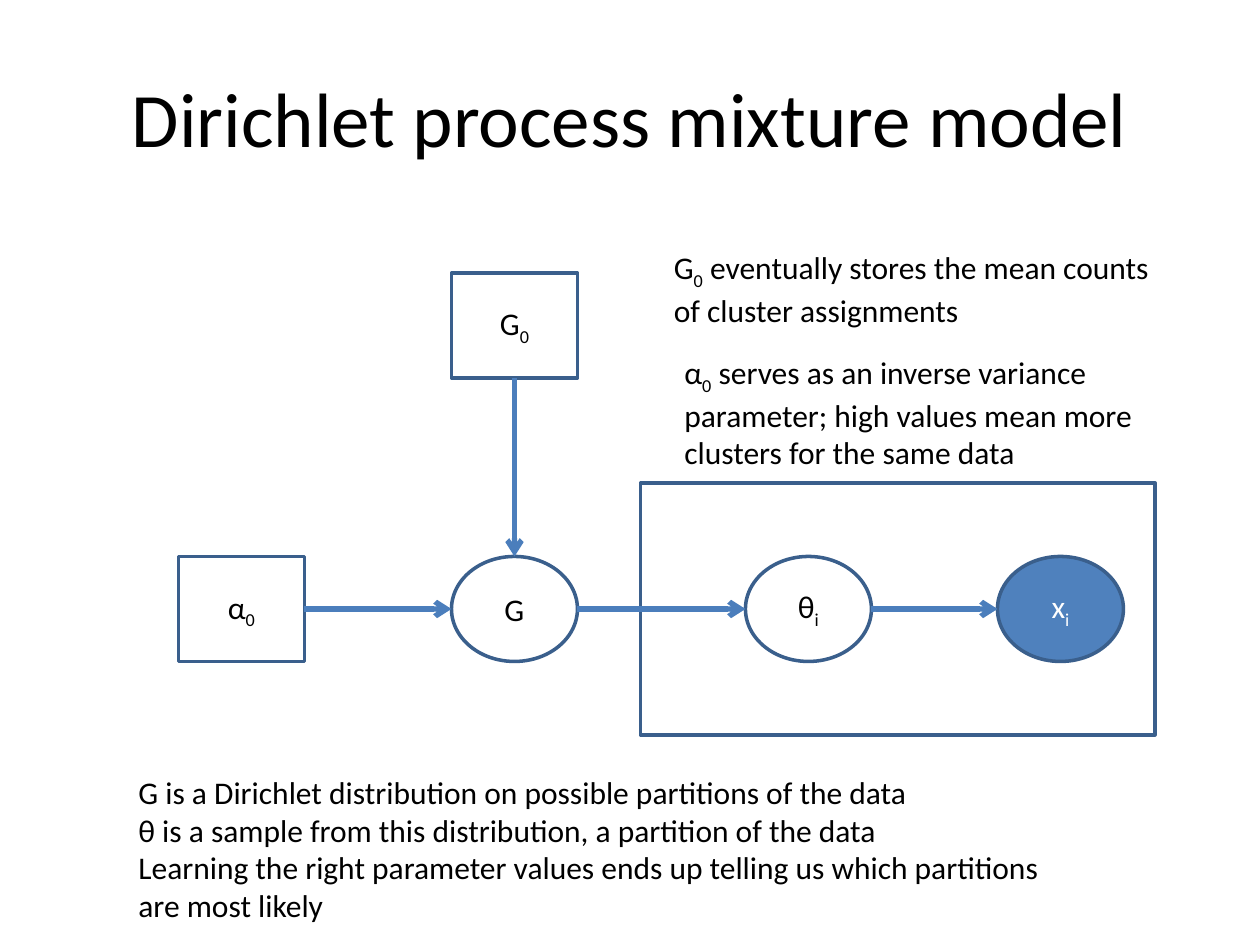
from lxml import etree
from pptx import Presentation
from pptx.dml.color import RGBColor
from pptx.enum.shapes import MSO_CONNECTOR, MSO_SHAPE
from pptx.enum.text import MSO_ANCHOR, PP_ALIGN
from pptx.oxml.ns import qn
from pptx.util import Inches, Pt

RECT, OVAL = MSO_SHAPE.RECTANGLE, MSO_SHAPE.OVAL
STRAIGHT = MSO_CONNECTOR.STRAIGHT
TOP, MIDDLE = MSO_ANCHOR.TOP, MSO_ANCHOR.MIDDLE
LEFT, CENTER = PP_ALIGN.LEFT, PP_ALIGN.CENTER

BLACK = RGBColor(0x00, 0x00, 0x00)
WHITE = RGBColor(0xFF, 0xFF, 0xFF)
BLUE = RGBColor(0x4F, 0x81, 0xBD)
OUTLINE = RGBColor(0x3A, 0x5F, 0x8C)
ARROW = RGBColor(0x4B, 0x7E, 0xBC)

CELLS_PER_INCH = 12  # the slide is a grid of 120 columns by 90 rows
NODE_W, NODE_H = 12, 10
CHAIN_ROW = 53
SIDE_TOP, SIDE_BOTTOM, SIDE_RIGHT = 0, 2, 3


def cells(*counts):
    return [Inches(count / CELLS_PER_INCH) for count in counts]


class Diagram:
    font = "Calibri"

    def __init__(self, slide):
        self.slide = slide

    def set_text(self, shape, paragraphs, size=18, color=BLACK, align=LEFT, anchor=TOP):
        """Each paragraph is a list of runs, every second one a subscript."""
        frame = shape.text_frame
        frame.word_wrap = True
        frame.vertical_anchor = anchor
        for index, runs in enumerate(paragraphs):
            paragraph = frame.add_paragraph() if index else frame.paragraphs[0]
            paragraph.alignment = align
            paragraph.font.name = self.font
            paragraph.font.size = Pt(size)
            paragraph.font.color.rgb = color
            for position, text in enumerate(runs):
                run = paragraph.add_run()
                run.text = text
                if position % 2:
                    run.font._element.set("baseline", "-25000")

    def text(self, box, *paragraphs, **style):
        self.set_text(self.slide.shapes.add_textbox(*cells(*box)), paragraphs, **style)

    def outline(self, kind, box, fill=None):
        shape = self.slide.shapes.add_shape(kind, *cells(*box))
        shape.shadow.inherit = False
        if fill is None:
            shape.fill.background()
        else:
            shape.fill.solid()
            shape.fill.fore_color.rgb = fill
        shape.line.color.rgb = OUTLINE
        shape.line.width = Pt(2)
        return shape

    def node(self, kind, column, row, *runs, fill=None, color=BLACK):
        shape = self.outline(kind, (column, row, NODE_W, NODE_H), fill)
        self.set_text(shape, [runs], color=color, align=CENTER, anchor=MIDDLE)
        return shape

    def arrow(self, start, end):
        link = self.slide.shapes.add_connector(STRAIGHT, *cells(*start, *end))
        link.line.color.rgb = ARROW
        link.line.width = Pt(3)
        properties = link._element.spPr
        etree.SubElement(properties.get_or_add_ln(), qn("a:tailEnd"), type="arrow")
        etree.SubElement(properties, qn("a:effectLst"))
        return link


def main():
    deck = Presentation()
    deck.slide_width, deck.slide_height = cells(120, 90)
    diagram = Diagram(deck.slides.add_slide(deck.slide_layouts[6]))

    # Title
    diagram.text((6, 3.6, 108, 15), ["Dirichlet process mixture model"],
                 size=44, align=CENTER, anchor=MIDDLE)

    # Plate and model variables
    alpha_col, g_col, theta_col, x_col = 17, 43, 71, 95
    base_row = 26
    diagram.outline(RECT, (61, 46, 49, 24))
    diagram.node(OVAL, x_col, CHAIN_ROW, "x", "i", fill=BLUE, color=WHITE)
    diagram.node(OVAL, theta_col, CHAIN_ROW, "θ", "i")
    g = diagram.node(OVAL, g_col, CHAIN_ROW, "G")
    base = diagram.node(RECT, g_col, base_row, "G", "0")
    alpha = diagram.node(RECT, alpha_col, CHAIN_ROW, "α", "0")

    # Dependencies along the chain, and from the base measure down to G
    middle = CHAIN_ROW + NODE_H / 2
    chain = [alpha_col, g_col, theta_col, x_col]
    links = [diagram.arrow((source + NODE_W, middle), (target, middle))
             for source, target in zip(chain, chain[1:])]
    links[0].begin_connect(alpha, SIDE_RIGHT)
    g_center = g_col + NODE_W / 2
    base_link = diagram.arrow((g_center, base_row + NODE_H), (g_center, CHAIN_ROW))
    base_link.begin_connect(base, SIDE_BOTTOM)
    base_link.end_connect(g, SIDE_TOP)

    # Explanations
    diagram.text(
        (12, 73, 92, 15.7),
        ["G is a Dirichlet distribution on possible partitions of the data"],
        ["θ is a sample from this distribution, a partition of the data"],
        ["Learning the right parameter values ends up telling us "
         "which partitions are most likely"])
    diagram.text(
        (63, 23, 48, 8.5),
        ["G", "0", " eventually stores the mean counts of cluster assignments"])
    diagram.text(
        (64, 33, 48, 12.1),
        ["α", "0", " serves as an inverse variance parameter; "
         "high values mean more clusters for the same data"])

    deck.save("out.pptx")


if __name__ == "__main__":
    main()
